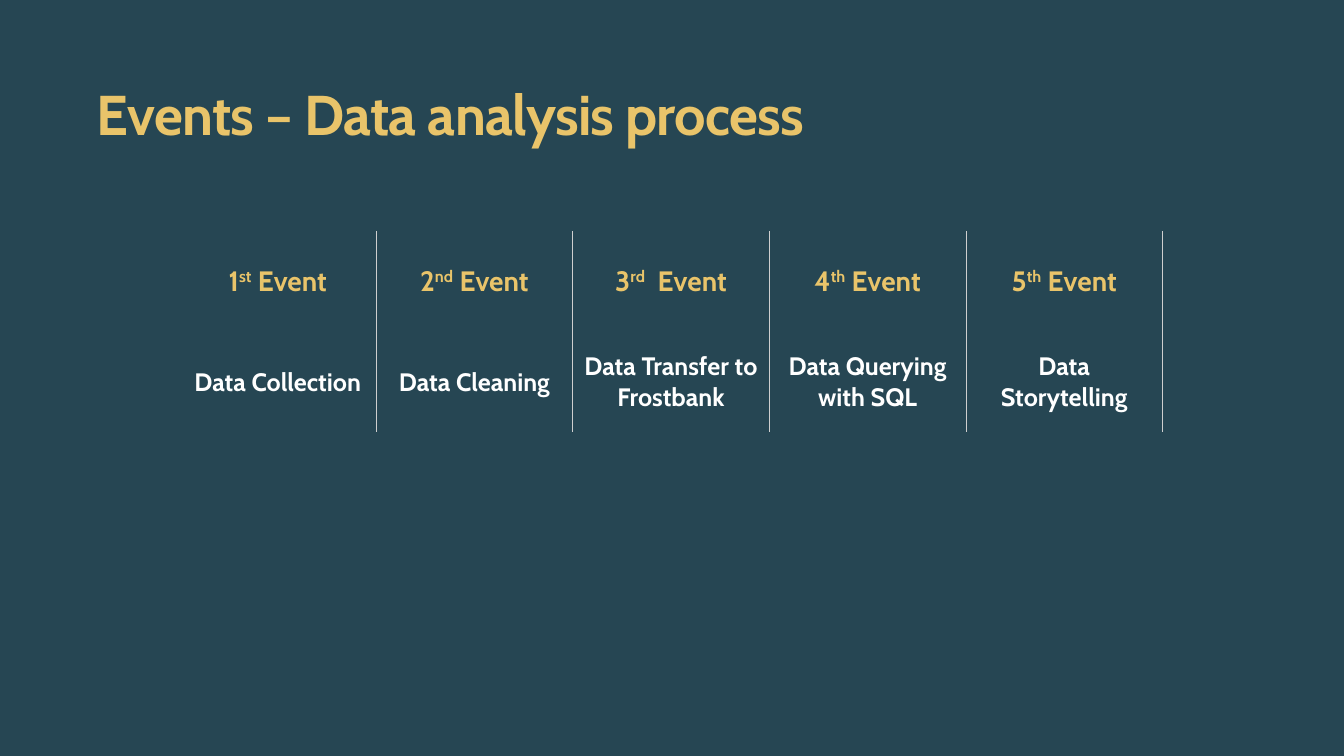
from dataclasses import dataclass

from lxml.etree import SubElement
from pptx import Presentation
from pptx.dml.color import RGBColor
from pptx.enum.text import MSO_ANCHOR, PP_ALIGN
from pptx.oxml.ns import qn
from pptx.util import Inches, Pt

WIDTH, HEIGHT = 13.33, 7.5
COLUMN, ROW = 1.95, 1.0
FONT = "Cabin"
BACKGROUND, GOLD, WHITE, RULE = "264653", "E9C46A", "FFFFFF", "CFCFCF"


@dataclass(frozen=True)
class Event:
    number: str
    suffix: str
    label: str
    activity: str


EVENTS = [
    Event("1", "st", " Event", "Data Collection"),
    Event("2", "nd", " Event", "Data Cleaning"),
    Event("3", "rd", "  Event", "Data Transfer to Frostbank"),
    Event("4", "th", " Event", "Data Querying with SQL"),
    Event("5", "th", " Event", "Data Storytelling"),
]


def colour(value: str) -> RGBColor:
    return RGBColor.from_string(value)


def style_span(span, size: float, tint: str) -> None:
    span.font.name = FONT
    span.font.size = Pt(size)
    span.font.bold = True
    span.font.color.rgb = colour(tint)


def set_borders(cell, ruled_sides: str) -> None:
    properties = cell._tc.get_or_add_tcPr()
    for side in "LRTB":
        line = SubElement(properties, qn(f"a:ln{side}"), w=str(Pt(0.5)))
        if side in ruled_sides:
            fill = SubElement(line, qn("a:solidFill"))
            SubElement(fill, qn("a:srgbClr"), val=RULE)
        else:
            SubElement(line, qn("a:noFill"))


def fill_cell(cell, parts: list[str], size: float, tint: str, ruled_sides: str) -> None:
    set_borders(cell, ruled_sides)
    cell.fill.background()
    cell.vertical_anchor = MSO_ANCHOR.MIDDLE
    para = cell.text_frame.paragraphs[0]
    para.alignment = PP_ALIGN.CENTER
    for position, part in enumerate(parts):
        span = para.add_run()
        span.text = part
        style_span(span, size, tint)
        if position == 1:
            span.font._element.set("baseline", "30000")


def add_title(page, text: str) -> None:
    box = page.shapes.add_textbox(Inches(0.96), Inches(0.76), Inches(11.39), Inches(0.7))
    frame = box.text_frame
    frame.text = text
    frame.word_wrap = True
    frame.vertical_anchor = MSO_ANCHOR.BOTTOM
    frame.margin_left = frame.margin_right = frame.margin_top = frame.margin_bottom = 0
    span = frame.paragraphs[0].runs[0]
    style_span(span, 40, GOLD)
    span.font._element.set("spc", "-50")


def add_events(page, events: list[Event]) -> None:
    table = page.shapes.add_table(
        2, len(events), Inches(1.78), Inches(2.29),
        Inches(COLUMN * len(events)), Inches(ROW * 2),
    ).table
    table.first_row = False
    table.horz_banding = False
    for index, event in enumerate(events):
        table.columns[index].width = Inches(COLUMN)
        ruled_sides = "LR" if index else "R"
        heading = [event.number, event.suffix, event.label]
        fill_cell(table.cell(0, index), heading, 20, GOLD, ruled_sides)
        fill_cell(table.cell(1, index), [event.activity], 18, WHITE, ruled_sides)


def main() -> None:
    deck = Presentation()
    deck.slide_width, deck.slide_height = Inches(WIDTH), Inches(HEIGHT)
    page = deck.slides.add_slide(deck.slide_layouts[6])
    page.background.fill.solid()
    page.background.fill.fore_color.rgb = colour(BACKGROUND)
    add_title(page, "Events – Data analysis process")
    add_events(page, EVENTS)
    deck.save("out.pptx")


if __name__ == "__main__":
    main()
